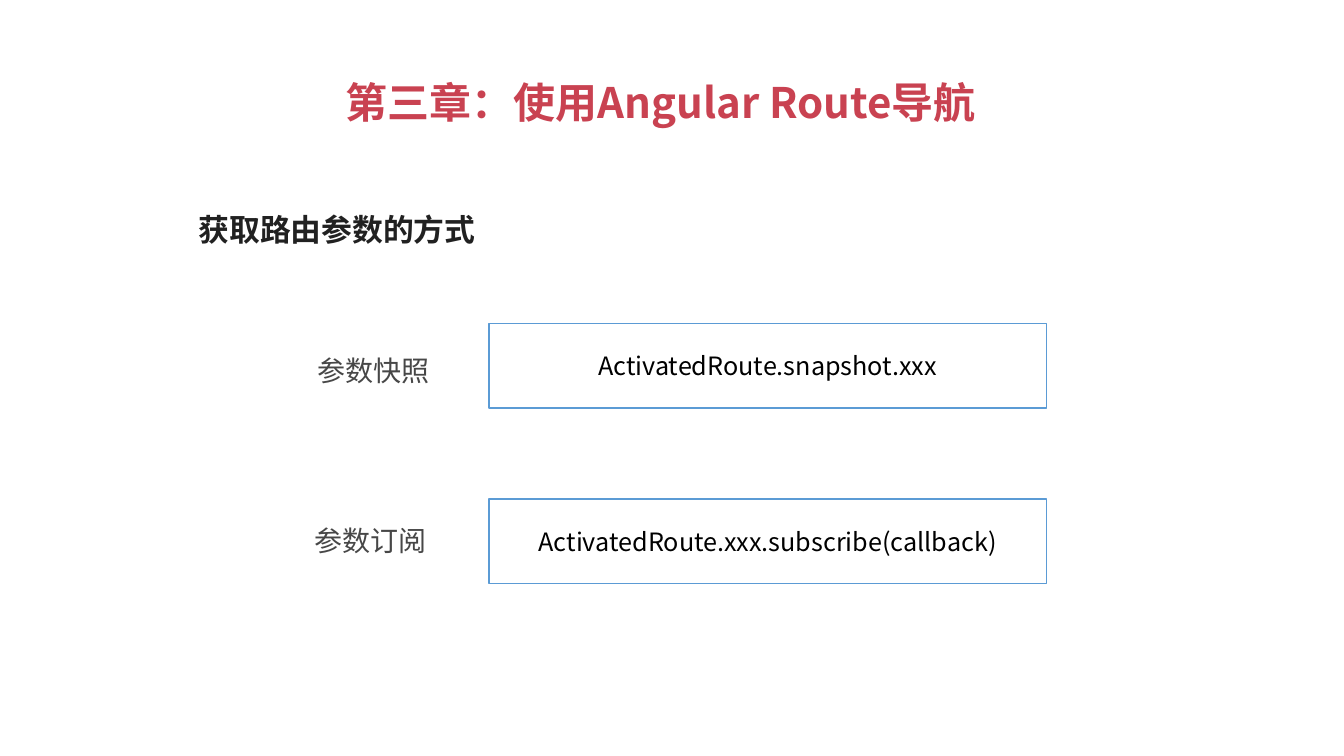
from pptx import Presentation
from pptx.dml.color import RGBColor
from pptx.enum.shapes import MSO_SHAPE as Shape
from pptx.enum.text import MSO_ANCHOR as Anchor, PP_ALIGN as Align
from pptx.oxml.ns import qn
from pptx.util import Inches, Pt
from lxml.etree import SubElement

FONT = "Noto Sans CJK SC"
RED = RGBColor(0xC9, 0x42, 0x51)
DARK = RGBColor(0x21, 0x21, 0x21)
GREY = RGBColor(0x47, 0x47, 0x47)
BLACK = RGBColor(0, 0, 0)
WHITE = RGBColor(0xFF, 0xFF, 0xFF)
BLUE = RGBColor(0x5B, 0x9B, 0xD5)

TITLE = {"size": Pt(30), "bold": True}
HEADING = {"size": Pt(22), "bold": True}
LABEL = {"size": Pt(20), "bold": False}
CODE = {"size": Pt(18), "bold": False}

ROW_TOP, ROW_PITCH = 3.21, 1.74
WAYS = [
    ("参数快照", 2.55, 0.24, "ActivatedRoute.snapshot.xxx"),
    ("参数订阅", 2.52, 0.19, "ActivatedRoute.xxx.subscribe(callback)"),
]


def write(shape, text, style, color, align=Align.LEFT, anchor=Anchor.MIDDLE, indent=0.1):
    """Fill a shape with one formatted paragraph."""
    frame = shape.text_frame
    layout = {"word_wrap": True, "vertical_anchor": anchor, "margin_left": Inches(indent)}
    for name, value in layout.items():
        setattr(frame, name, value)
    paragraph = frame.paragraphs[0]
    paragraph.alignment = align
    run = paragraph.add_run()
    run.text = text
    for name, value in {"name": FONT, **style}.items():
        setattr(run.font, name, value)
    run.font.color.rgb = color
    SubElement(run.font._element, qn("a:ea")).set("typeface", FONT)
    return paragraph


def add_text(slide, box, text, style, color, **options):
    """Add a text box and return its paragraph."""
    shape = slide.shapes.add_textbox(*map(Inches, box))
    return write(shape, text, style, color, **options)


def add_code_box(slide, box, text):
    """Add an outlined rectangle holding centred code."""
    shape = slide.shapes.add_shape(Shape.RECTANGLE, *map(Inches, box))
    shape.shadow.inherit = False
    shape.fill.solid()
    shape.fill.fore_color.rgb = WHITE
    shape.line.color.rgb = BLUE
    shape.line.width = Pt(1)
    write(shape, text, CODE, BLACK, align=Align.CENTER)


def main():
    """Build and save the slide."""
    presentation = Presentation()
    presentation.slide_width, presentation.slide_height = Inches(13.33), Inches(7.5)
    slide = presentation.slides.add_slide(presentation.slide_layouts[6])
    title = add_text(slide, (3.33, 0.79, 6.5, 0.61), "第三章：使用Angular Route导航",
                     TITLE, RED, anchor=Anchor.TOP)
    title.line_spacing = 0.85
    add_text(slide, (1.81, 1.99, 9, 0.56), "获取路由参数的方式", HEADING, DARK, indent=0.16)
    for row, (label, left, offset, code) in enumerate(WAYS):
        top = ROW_TOP + row * ROW_PITCH
        add_text(slide, (left, top + offset, 9, 0.44), label, LABEL, GREY, indent=0.6)
        add_code_box(slide, (4.85, top, 5.53, 0.84), code)
    presentation.save("out.pptx")


if __name__ == "__main__":
    main()
